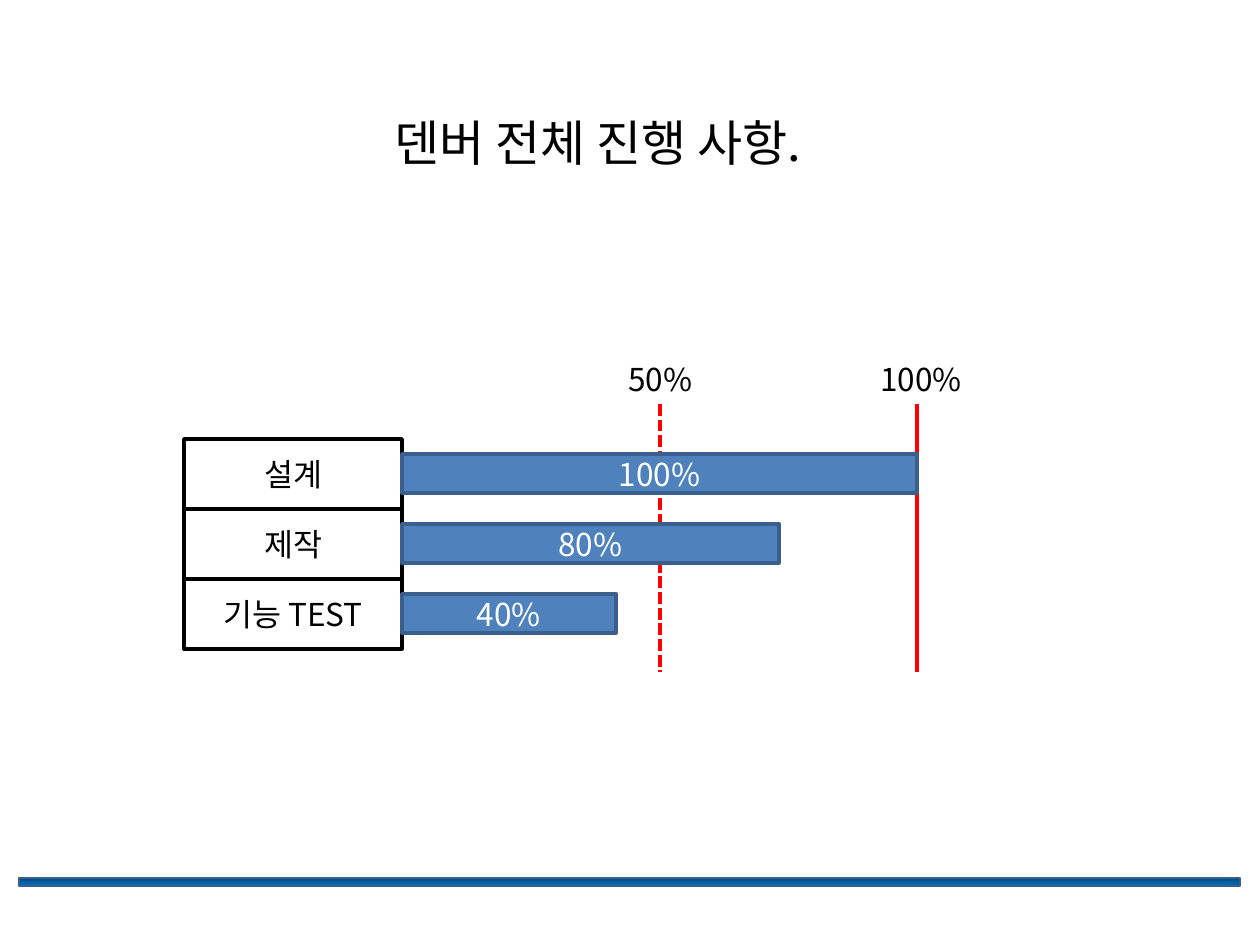
from copy import deepcopy

from pptx import Presentation
from pptx.dml.color import RGBColor
from pptx.enum.dml import MSO_LINE
from pptx.enum.shapes import MSO_CONNECTOR, MSO_SHAPE
from pptx.enum.text import MSO_ANCHOR, PP_ALIGN
from pptx.oxml.ns import qn
from pptx.util import Pt

PX = 914400 / 126
RECT = MSO_SHAPE.RECTANGLE
LINE = MSO_CONNECTOR.STRAIGHT
DASH = MSO_LINE.SQUARE_DOT
LEFT, MID = PP_ALIGN.LEFT, PP_ALIGN.CENTER
TOP, CENTER = MSO_ANCHOR.TOP, MSO_ANCHOR.MIDDLE
FONT = "Noto Sans CJK KR"
HEX = {"white": "FFFFFF", "black": "000000", "red": "FF0000",
       "bar": "4F81BD", "edge": "3A5F8C"}
FADE = ["004272", "005EA2", "0070C0"]


def write(shape, text, size=18, color="black", align=MID, anchor=CENTER, wrap=True):
    frame = shape.text_frame
    frame.word_wrap = wrap
    frame.vertical_anchor = anchor
    para = frame.paragraphs[0]
    para.alignment = align
    run = para.add_run()
    run.text = text
    font = run.font
    font.size, font.name = Pt(size), FONT
    font.color.rgb = RGBColor.from_string(HEX[color])
    east = font._element.makeelement(qn("a:ea"), {"typeface": FONT})
    font._element.find(qn("a:latin")).addnext(east)


def box(x, y, w, h, fill=None, edge="black", width=2):
    """Add a flat rectangle, placed in px."""
    shape = slide.shapes.add_shape(RECT, *(round(v * PX) for v in (x, y, w, h)))
    shape.shadow.inherit = False
    if fill:
        shape.fill.solid()
        shape.fill.fore_color.rgb = RGBColor.from_string(HEX[fill])
    else:
        shape.fill.background()
    shape.line.color.rgb = RGBColor.from_string(HEX[edge])
    shape.line.width = Pt(width)
    return shape


deck = Presentation()
deck.slide_width, deck.slide_height = round(1260 * PX), round(945 * PX)
slide = deck.slides.add_slide(deck.slide_layouts[5])

# Title
title = slide.shapes.title
title.left, title.top = round(382 * PX), round(106 * PX)
title.width, title.height = round(556 * PX), round(72 * PX)
write(title, "덴버 전체 진행 사항.", size=28, align=LEFT, anchor=TOP)

# Footer band with a dark-to-light stripe
box(0, 885, 1260, 59, fill="white", edge="white")
stripe = box(19, 878, 1221, 8, edge="edge", width=1)
stripe.fill.gradient()
stripe.fill.gradient_angle = 270
stops = stripe._element.spPr.find(qn("a:gradFill")).find(qn("a:gsLst"))
stops.insert(1, deepcopy(stops[0]))
for stop, tone, place in zip(stripe.fill.gradient_stops, FADE, (0, 0.5, 1)):
    stop.color.rgb = RGBColor.from_string(tone)
    stop.position = place

# Task names
STEP = 70
tasks = [("설계", "100%", 515), ("제작", "80%", 377), ("기능 TEST", "40%", 214)]
for row, (name, _, _) in enumerate(tasks):
    write(box(184, 439 + row * STEP, 218, STEP), name)

# Scale marks
for text, x, left, width, dash in [("50%", 660, 616, 100, DASH),
                                   ("100%", 917, 868, 120, None)]:
    mark = slide.shapes.add_connector(
        LINE, *(round(v * PX) for v in (x, 404, x, 672)))
    mark.line.color.rgb = RGBColor.from_string(HEX["red"])
    mark.line.width = Pt(2.25)
    if dash:
        mark.line.dash_style = dash
    props = mark._element.spPr
    props.append(props.makeelement(qn("a:effectLst"), {}))
    label = slide.shapes.add_textbox(
        *(round(v * PX) for v in (left, 354, width, 50)))
    write(label, text, align=LEFT, anchor=TOP, wrap=False)

# Progress bars
for row, (_, done, width) in enumerate(tasks):
    bar = box(402, 454 + row * STEP, width, 39, fill="bar", edge="edge")
    write(bar, done, color="white")

deck.save("out.pptx")
